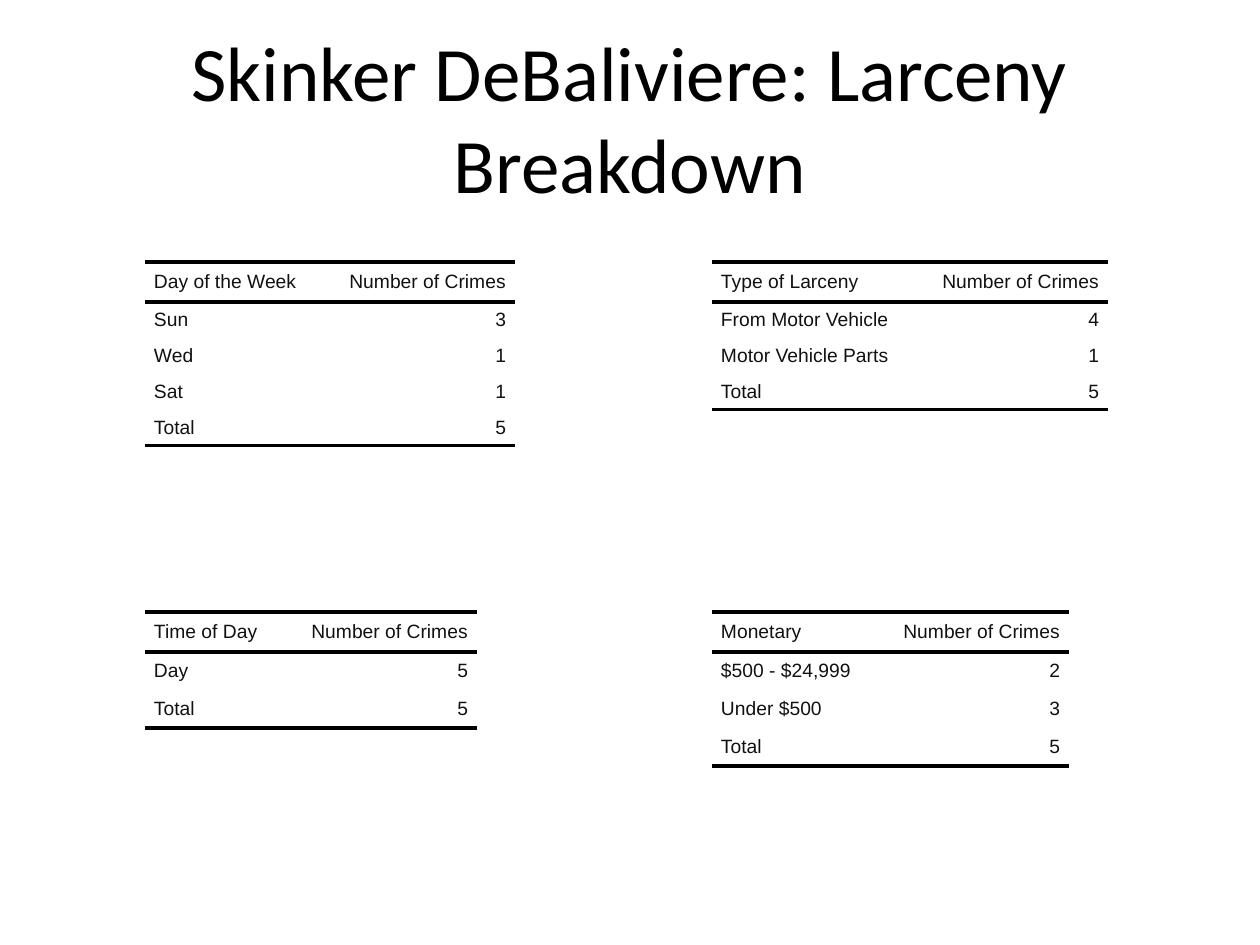
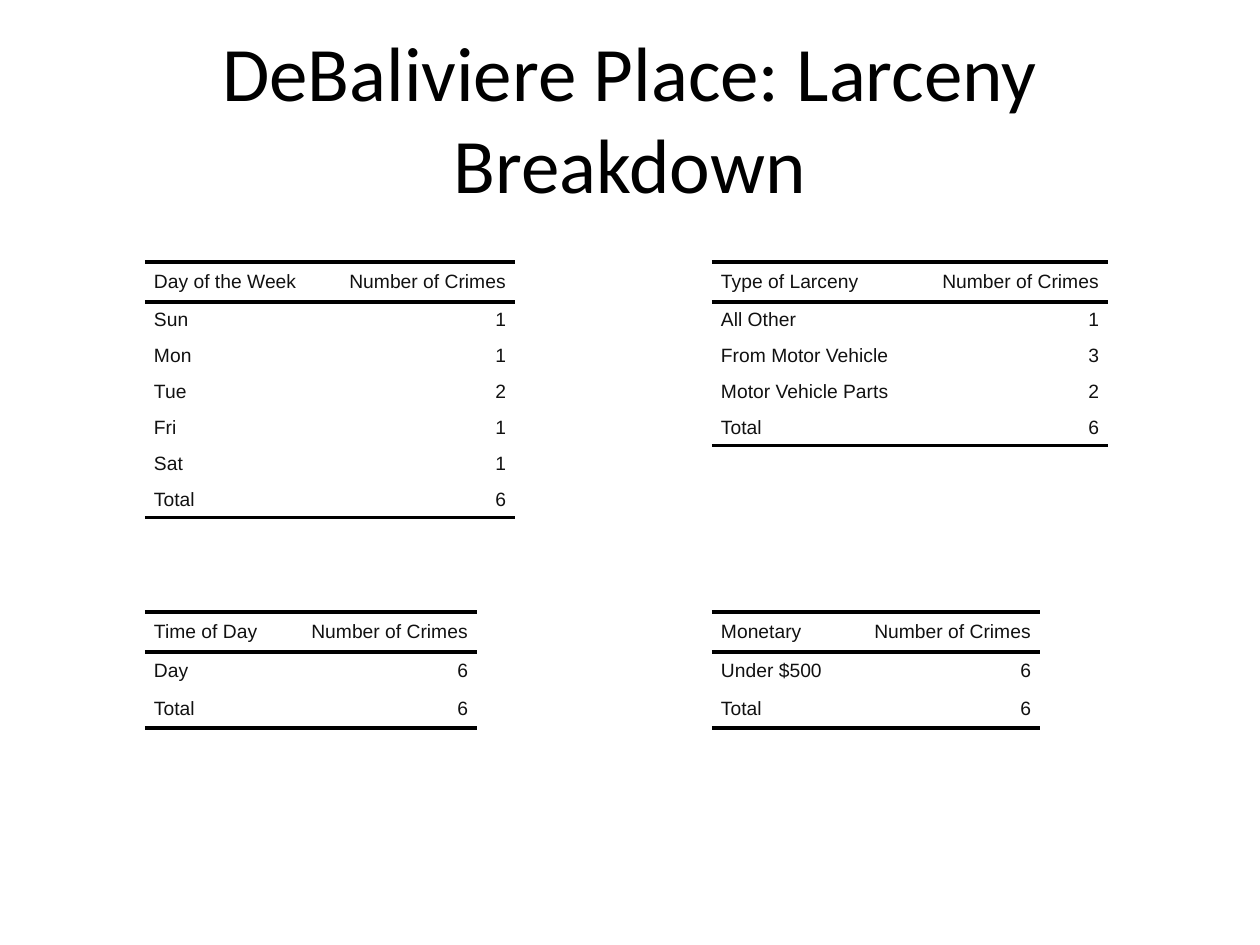
"""Build two slides of larceny breakdown tables, one per neighborhood."""
from lxml.etree import SubElement
from pptx import Presentation
from pptx.dml.color import RGBColor
from pptx.enum.text import MSO_ANCHOR, PP_ALIGN
from pptx.oxml.ns import qn
from pptx.util import Emu, Pt

COLORS = {"title": "000000", "rule": "000000", "cell": "111111"}
NO_GRID_STYLE = "{2D5ABB26-0587-4C30-8999-92F81FD0307C}"
TITLE_ONLY = 5
LEFT, RIGHT = 145, 712
TOP, BOTTOM = 262, 612
HEADER_H = 40
BODY_H = {TOP: 36, BOTTOM: 38}
COUNT_W = 192
CELL_PAD = 9

BREAKDOWNS = [
    ("Skinker DeBaliviere: Larceny Breakdown", [
        ("Day of the Week", LEFT, TOP, 178, {"Sun": 3, "Wed": 1, "Sat": 1}),
        ("Time of Day", LEFT, BOTTOM, 140, {"Day": 5}),
        ("Type of Larceny", RIGHT, TOP, 204,
         {"From Motor Vehicle": 4, "Motor Vehicle Parts": 1}),
        ("Monetary", RIGHT, BOTTOM, 165,
         {"$500 - $24,999": 2, "Under $500": 3}),
    ]),
    ("DeBaliviere Place: Larceny Breakdown", [
        ("Day of the Week", LEFT, TOP, 178,
         {"Sun": 1, "Mon": 1, "Tue": 2, "Fri": 1, "Sat": 1}),
        ("Time of Day", LEFT, BOTTOM, 140, {"Day": 6}),
        ("Type of Larceny", RIGHT, TOP, 204,
         {"All Other": 1, "From Motor Vehicle": 3, "Motor Vehicle Parts": 2}),
        ("Monetary", RIGHT, BOTTOM, 136, {"Under $500": 6}),
    ]),
]


def px(n):
    """Turn px into EMU at 126 px to the inch."""
    return Emu(round(n * 914400 / 126))


def add_run(p, text, font, size, color):
    """Add one formatted run to a paragraph."""
    r = p.add_run()
    r.text = text
    r.font.name, r.font.size = font, Pt(size)
    r.font.color.rgb = RGBColor.from_string(COLORS[color])


def add_title(s, text):
    """Place and fill the slide's title placeholder."""
    sp = s.shapes.title
    sp.left, sp.top, sp.width, sp.height = map(px, (63, 38, 1134, 158))
    tf = sp.text_frame
    tf.vertical_anchor = MSO_ANCHOR.MIDDLE
    p = tf.paragraphs[0]
    p.alignment = PP_ALIGN.CENTER
    add_run(p, text, "Calibri", 44, "title")


def add_rule(tc_pr, side):
    """Draw a 2 pt line on one side of a cell."""
    ln = SubElement(tc_pr, qn(f"a:{side}"), w=str(Pt(2)))
    fill = SubElement(ln, qn("a:solidFill"))
    SubElement(fill, qn("a:srgbClr"), val=COLORS["rule"])


def fill_cell(cell, text, align, sides):
    """Write a cell's text and draw its rules."""
    cell.margin_left = cell.margin_right = px(CELL_PAD)
    cell.margin_top = cell.margin_bottom = 0
    cell.vertical_anchor = MSO_ANCHOR.MIDDLE
    p = cell.text_frame.paragraphs[0]
    p.alignment = align
    add_run(p, text, "Arial", 11, "cell")
    tc_pr = cell._tc.get_or_add_tcPr()
    for side in sides:
        add_rule(tc_pr, side)
    cell.fill.background()


def add_crime_table(s, heading, left, top, label_w, counts):
    """Add a table of crime counts that ends in their total."""
    rows = [(heading, "Number of Crimes"), *counts.items(),
            ("Total", sum(counts.values()))]
    widths = (label_w, COUNT_W)
    heights = [HEADER_H] + [BODY_H[top]] * (len(rows) - 1)
    frame = s.shapes.add_table(len(rows), 2, px(left), px(top),
                               px(sum(widths)), px(sum(heights)))
    next(frame.element.iter(qn("a:tableStyleId"))).text = NO_GRID_STYLE
    table = frame.table
    table.first_row = table.horz_banding = False
    for column, width in zip(table.columns, widths):
        column.width = px(width)
    rules = {0: ("lnT", "lnB"), len(rows) - 1: ("lnB",)}
    for i, (row, values) in enumerate(zip(table.rows, rows)):
        row.height = px(heights[i])
        for cell, value, align in zip(row.cells, values,
                                      (PP_ALIGN.LEFT, PP_ALIGN.RIGHT)):
            fill_cell(cell, str(value), align, rules.get(i, ()))


def main():
    """Build and save the presentation."""
    prs = Presentation()
    prs.slide_width, prs.slide_height = px(1260), px(945)
    for title, tables in BREAKDOWNS:
        s = prs.slides.add_slide(prs.slide_layouts[TITLE_ONLY])
        add_title(s, title)
        for table in tables:
            add_crime_table(s, *table)
    prs.save("out.pptx")


if __name__ == "__main__":
    main()
